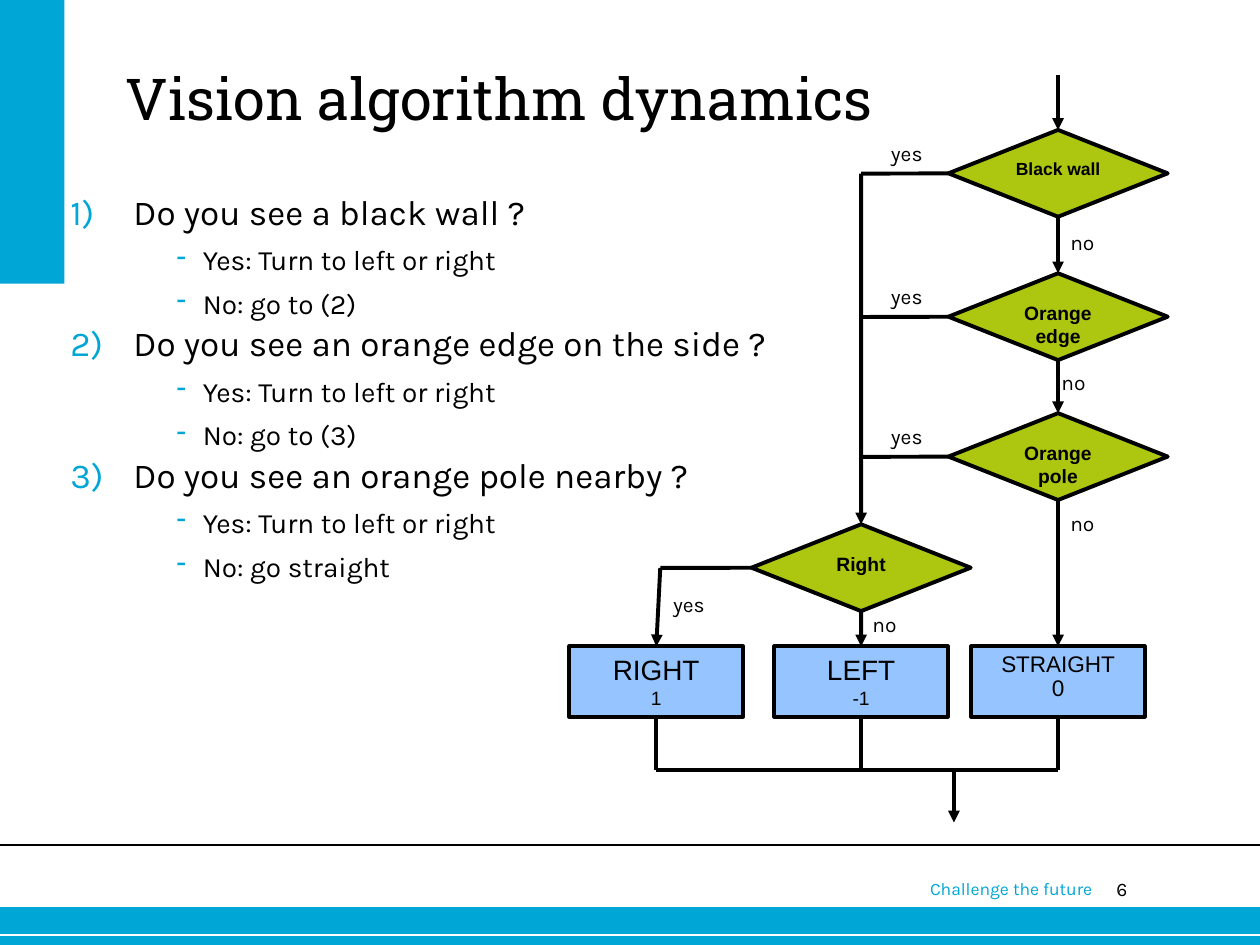
from lxml import etree
from pptx import Presentation
from pptx.dml.color import RGBColor
from pptx.enum.shapes import MSO_CONNECTOR, MSO_SHAPE
from pptx.enum.text import MSO_ANCHOR, PP_ALIGN
from pptx.oxml.ns import qn
from pptx.util import Cm, Pt

RECTANGLE, DIAMOND = MSO_SHAPE.RECTANGLE, MSO_SHAPE.DIAMOND
STRAIGHT = MSO_CONNECTOR.STRAIGHT
TOP = MSO_ANCHOR.TOP
LEFT, CENTER, RIGHT = PP_ALIGN.LEFT, PP_ALIGN.CENTER, PP_ALIGN.RIGHT
CYAN = RGBColor(0x00, 0xA6, 0xD6)
GREEN = RGBColor(0xAD, 0xC6, 0x10)
BLUE = RGBColor(0x95, 0xC4, 0xFF)
BLACK = RGBColor(0, 0, 0)
WHITE = RGBColor(255, 255, 255)
TOP_SIDE, LEFT_SIDE, BOTTOM_SIDE = 0, 1, 2

QUESTIONS = [
    ("Do you see a black wall ?", "Yes: Turn to left or right", "No: go to (2)"),
    ("Do you see an orange edge on the side ?", "Yes: Turn to left or right", "No: go to (3)"),
    ("Do you see an orange pole nearby ?", "Yes: Turn to left or right", "No: go straight"),
]


def style_paragraph(paragraph, text, size, font, color=BLACK, align=LEFT, bold=False):
    """Fill one paragraph and set its font."""
    paragraph.text = text
    paragraph.alignment = align
    paragraph.font.size = Pt(size)
    paragraph.font.name = font
    paragraph.font.color.rgb = color
    paragraph.font.bold = bold


def add_text(slide, box, text, size, font, color=BLACK, align=LEFT, inset=0, wrap=True):
    """Add a one-paragraph text box."""
    frame = slide.shapes.add_textbox(*map(Cm, box)).text_frame
    frame.word_wrap = wrap
    frame.margin_left = frame.margin_right = Cm(2 * inset)
    frame.margin_top = frame.margin_bottom = Cm(inset)
    style_paragraph(frame.paragraphs[0], text, size, font, color, align)


def add_block(slide, kind, box, fill, outline=None):
    """Add a filled shape, outlined if a colour is given."""
    shape = slide.shapes.add_shape(kind, *map(Cm, box))
    shape.shadow.inherit = False
    shape.fill.solid()
    shape.fill.fore_color.rgb = fill
    if outline is None:
        shape.line.fill.background()
    else:
        shape.line.color.rgb = outline
        shape.line.width = Pt(2.25)
    return shape


def add_line(slide, start, end, color=BLACK, width=2.25, arrow=False):
    """Join two ends, each a point or a (shape, side) pair."""
    points = [(0, 0) if hasattr(part[0], "shape_id") else part for part in (start, end)]
    connector = slide.shapes.add_connector(
        STRAIGHT, *[Cm(value) for point in points for value in point])
    if hasattr(start[0], "shape_id"):
        connector.begin_connect(*start)
    if hasattr(end[0], "shape_id"):
        connector.end_connect(*end)
    connector.line.color.rgb = color
    connector.line.width = Pt(width)
    properties = connector.element.spPr
    if arrow:
        etree.SubElement(properties.find(qn("a:ln")), qn("a:tailEnd"), type="triangle")
    etree.SubElement(properties, qn("a:effectLst"))


def add_node(slide, kind, box, fill, lines, bold=False, spacing=1):
    """Add a flowchart node with centred (text, size) lines."""
    shape = add_block(slide, kind, box, fill, BLACK)
    frame = shape.text_frame
    frame.vertical_anchor = TOP
    frame.word_wrap = False
    for index, (text, size) in enumerate(lines):
        paragraph = frame.add_paragraph() if index else frame.paragraphs[0]
        style_paragraph(paragraph, text, size, "Arial", align=CENTER, bold=bold)
        paragraph.line_spacing = spacing
    return shape


def add_frame(slide, left, top, width, height):
    """Draw the side band, the footer band and the footer text."""
    footer = top + height - 0.76
    add_block(slide, RECTANGLE, (left, footer, width, 0.76), CYAN)
    for y, color, weight in ((footer + 0.56, WHITE, 0.75), (footer - 1.25, BLACK, 1)):
        add_line(slide, (left, y), (left + width, y), color, weight)
    add_block(slide, RECTANGLE, (left, top, 1.3, 5.72), CYAN)
    add_text(slide, (left + 21.49, footer - 0.61, 1.24, 0.7), "6", 11, "Karla", align=RIGHT)
    add_text(slide, (left + 18.49, footer - 0.71, 4.06, 0.69), "Challenge the future",
             10, "Karla", CYAN, inset=0.13)


def add_bullet(paragraph, tag, margin, indent, **attributes):
    """Give a paragraph a hanging cyan bullet."""
    properties = paragraph._p.get_or_add_pPr()
    properties.set("marL", str(Cm(margin)))
    properties.set("indent", str(Cm(-indent)))
    color = etree.SubElement(properties, qn("a:buClr"))
    etree.SubElement(color, qn("a:srgbClr"), val=str(CYAN))
    etree.SubElement(properties, qn(tag), **attributes)


def add_questions(slide, left, top, width, height):
    """Write the numbered questions with their answers."""
    frame = slide.shapes.add_textbox(*map(Cm, (left, top, width, height))).text_frame
    frame.word_wrap = True
    frame.margin_left = frame.margin_right = frame.margin_top = frame.margin_bottom = 0
    entries = [(text, index > 0) for group in QUESTIONS for index, text in enumerate(group)]
    for number, (text, is_answer) in enumerate(entries):
        paragraph = frame.add_paragraph() if number else frame.paragraphs[0]
        if is_answer:
            paragraph.level = 1
            add_bullet(paragraph, "a:buChar", 2.67, 0.53, char="-")
        else:
            add_bullet(paragraph, "a:buAutoNum", 1.27, 1.27, type="arabicParenR")
        style_paragraph(paragraph, text, 16 if is_answer else 20, "Karla")
        paragraph.line_spacing = Pt(25)


def add_flowchart(slide, left, top, width, height):
    """Draw the decision flowchart."""
    main_x, branch_x, right_x = left + 9.85, left + 5.88, left + 1.75
    bus_y, exit_x = top + 14, left + 7.75

    def decision(center, y, lines):
        """Place a diamond centred on a column."""
        return add_node(slide, DIAMOND, (center - 2.21, y, 4.42, 1.75), GREEN, lines, bold=True)

    def result(center, lines, spacing=1):
        """Place a result box centred on a column."""
        box = (center - 1.75, top + 11.51, 3.5, 1.42)
        return add_node(slide, RECTANGLE, box, BLUE, lines, spacing=spacing)

    def label(center, y, text):
        """Place a branch label."""
        add_text(slide, (center - 0.58, y, 1.16, 0.76), text, 12, "Karla",
                 align=CENTER, inset=0.13, wrap=False)

    tops = [top + offset for offset in (1.1, 3.99, 6.81)]
    texts = ([("Black wall", 10)], [("Orange", 11), ("edge", 11)], [("Orange", 11), ("pole", 11)])
    checks = [decision(main_x, y, lines) for y, lines in zip(tops, texts)]
    side = decision(branch_x, top + 9.05, [("Right", 11)])
    go_right = result(right_x, [("RIGHT", 16), ("1", 11)])
    go_left = result(branch_x, [("LEFT", 16), ("-1", 11)])
    go_straight = result(main_x, [("STRAIGHT", 12.9), ("0", 12.9)], 0.9)

    add_line(slide, (main_x, top), (checks[0], TOP_SIDE), arrow=True)
    for node, following in zip(checks, checks[1:] + [go_straight]):
        add_line(slide, (node, BOTTOM_SIDE), (following, TOP_SIDE), arrow=True)
    for node, y in zip(checks, tops):
        add_line(slide, (node, LEFT_SIDE), (branch_x, y + 0.88))
        label(left + 6.8, y + 0.08, "yes")
    add_line(slide, (branch_x, tops[0] + 0.88), (side, TOP_SIDE), arrow=True)
    add_line(slide, (side, BOTTOM_SIDE), (go_left, TOP_SIDE), arrow=True)
    corner = (right_x + 0.08, top + 9.93)
    add_line(slide, (side, LEFT_SIDE), corner)
    add_line(slide, corner, (go_right, TOP_SIDE), arrow=True)

    for node, x in ((go_right, right_x), (go_left, branch_x), (go_straight, main_x)):
        add_line(slide, (node, BOTTOM_SIDE), (x, bus_y))
    add_line(slide, (right_x, bus_y), (main_x, bus_y))
    add_line(slide, (exit_x, bus_y), (exit_x, top + height), arrow=True)

    for x, y in ((10.34, 2.98), (10.16, 5.8), (10.34, 8.64), (6.35, 10.67)):
        label(left + x, top + y, "no")
    label(left + 2.41, top + 10.27, "yes")


def main():
    """Build and save the slide."""
    presentation = Presentation()
    presentation.slide_width, presentation.slide_height = Cm(25.4), Cm(19.05)
    slide = presentation.slides.add_slide(presentation.slide_layouts[6])
    add_frame(slide, 0, 0, 25.4, 19.05)
    add_text(slide, (2.54, 1.27, 19.89, 3.45), "Vision algorithm dynamics", 33, "Roboto Slab")
    add_questions(slide, 1.42, 3.81, 15.24, 8.28)
    add_flowchart(slide, 11.48, 1.52, 12.06, 15.06)
    presentation.save("out.pptx")


if __name__ == "__main__":
    main()
